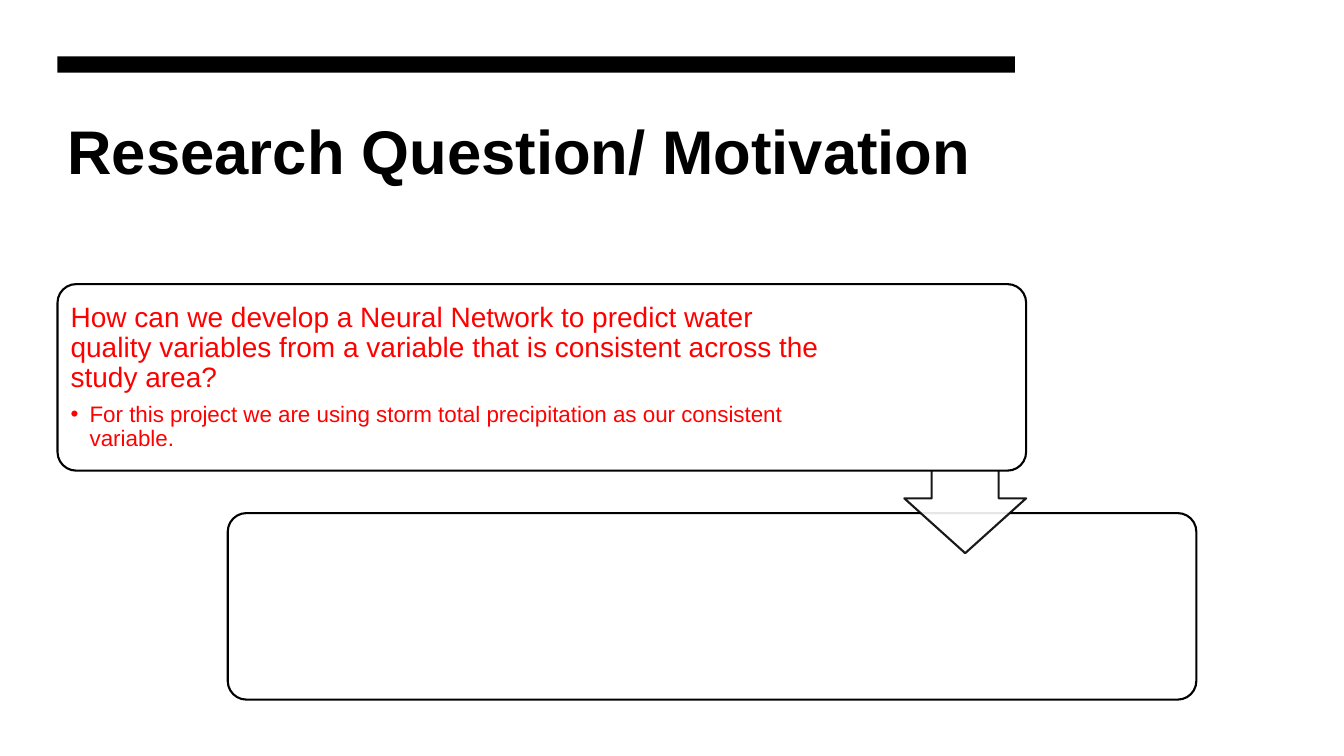
from lxml import etree
from pptx import Presentation
from pptx.dml.color import RGBColor
from pptx.enum import shapes, text
from pptx.oxml import ns
from pptx.util import Cm, Pt

BLACK = RGBColor(0, 0, 0)
WHITE = RGBColor(255, 255, 255)
RED = RGBColor(255, 0, 0)
FONT = "Arial"
KINDS = shapes.MSO_SHAPE

PAGE_WIDTH, PAGE_HEIGHT = 33.87, 19.05
LEFT, HEADER_WIDTH = 1.45, 24.13
BOX_WIDTH, BOX_HEIGHT = 24.41, 4.7
BOX_TOP, STEP_X, STEP_Y = 7.16, 4.29, 5.77
ARROW_SIZE = 3.07
TEXT_GAP = 0.13


def set_values(target, values):
    for name, value in values.items():
        setattr(target, name, value)


def add_shape(page, kind, left, top, width, height, fill, outline=None, adjustments=()):
    shape = page.shapes.add_shape(kind, Cm(left), Cm(top), Cm(width), Cm(height))
    shape.shadow.inherit = False
    shape.fill.solid()
    shape.fill.fore_color.rgb = fill
    if outline is None:
        shape.line.fill.background()
    else:
        shape.line.color.rgb = outline
        shape.line.width = Pt(1.5)
    for index, value in enumerate(adjustments):
        shape.adjustments[index] = value
    return shape


def set_opacity(shape, percent):
    for color in shape._element.spPr.iter(ns.qn("a:srgbClr")):
        etree.SubElement(color, ns.qn("a:alpha"), val=str(percent * 1000))


def add_frame(page, left, top, width, height, values):
    box = page.shapes.add_textbox(Cm(left), Cm(top), Cm(width), Cm(height))
    set_values(box.text_frame, {"word_wrap": True, **values})
    return box.text_frame


def write_para(para, wording, size, color, bold=False, **values):
    set_values(para, values)
    span = para.add_run()
    span.text = wording
    set_values(span.font, {"name": FONT, "size": Pt(size), "bold": bold})
    span.font.color.rgb = color


def add_bullet(para, indent):
    properties = para._p.get_or_add_pPr()
    properties.set("marL", str(Cm(indent)))
    properties.set("indent", str(-Cm(indent)))
    etree.SubElement(properties, ns.qn("a:buFont"), typeface=FONT)
    etree.SubElement(properties, ns.qn("a:buChar"), char="•")


def add_header(page):
    frame = add_frame(page, LEFT, 2.72, HEADER_WIDTH, 4.06,
                      {"vertical_anchor": text.MSO_ANCHOR.TOP})
    write_para(frame.paragraphs[0], "Research Question/ Motivation", 44, BLACK, bold=True)
    add_shape(page, KINDS.RECTANGLE, LEFT, 1.42, HEADER_WIDTH, 0.41, BLACK)


def add_step_box(page, number):
    add_shape(page, KINDS.ROUNDED_RECTANGLE,
              LEFT + number * STEP_X, BOX_TOP + number * STEP_Y,
              BOX_WIDTH, BOX_HEIGHT, WHITE, BLACK, [0.1])


def add_step_arrow(page):
    arrow = add_shape(page, KINDS.DOWN_ARROW, LEFT + BOX_WIDTH - ARROW_SIZE, 10.87,
                      ARROW_SIZE, ARROW_SIZE, WHITE, BLACK, [0.45, 0.55])
    arrow.adjustments[0], arrow.adjustments[1] = 0.55, 0.45
    set_opacity(arrow, 90)


def add_question(page):
    margins = {f"margin_{side}": Cm(0.2) for side in ("left", "top", "right", "bottom")}
    frame = add_frame(page, LEFT + TEXT_GAP, BOX_TOP + TEXT_GAP,
                      19.53, BOX_HEIGHT - 2 * TEXT_GAP,
                      {"vertical_anchor": text.MSO_ANCHOR.MIDDLE, **margins})
    write_para(frame.paragraphs[0],
               "How can we develop a Neural Network to predict water quality variables "
               "from a variable that is consistent across the study area?",
               20, RED, line_spacing=0.9, space_after=Pt(7))
    detail = frame.add_paragraph()
    write_para(detail,
               "For this project we are using storm total precipitation "
               "as our consistent variable.",
               16, RED, level=1, line_spacing=0.9, space_after=Pt(2.4))
    add_bullet(detail, 0.48)


def main():
    deck = Presentation()
    set_values(deck, {"slide_width": Cm(PAGE_WIDTH), "slide_height": Cm(PAGE_HEIGHT)})
    page = deck.slides.add_slide(deck.slide_layouts[6])
    add_shape(page, KINDS.RECTANGLE, 0, 0, PAGE_WIDTH, PAGE_HEIGHT, WHITE)
    add_header(page)
    add_step_box(page, 1)
    add_step_arrow(page)
    add_step_box(page, 0)
    add_question(page)
    deck.save("out.pptx")


if __name__ == "__main__":
    main()
